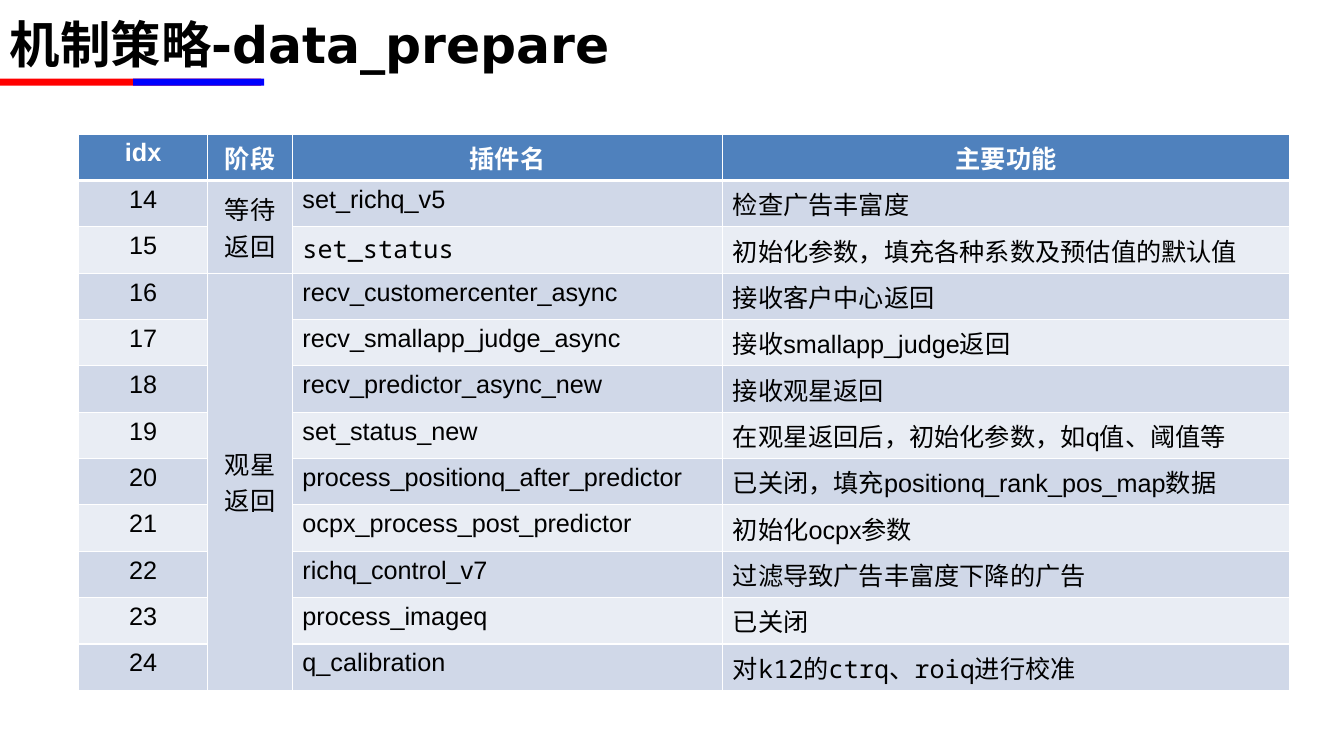
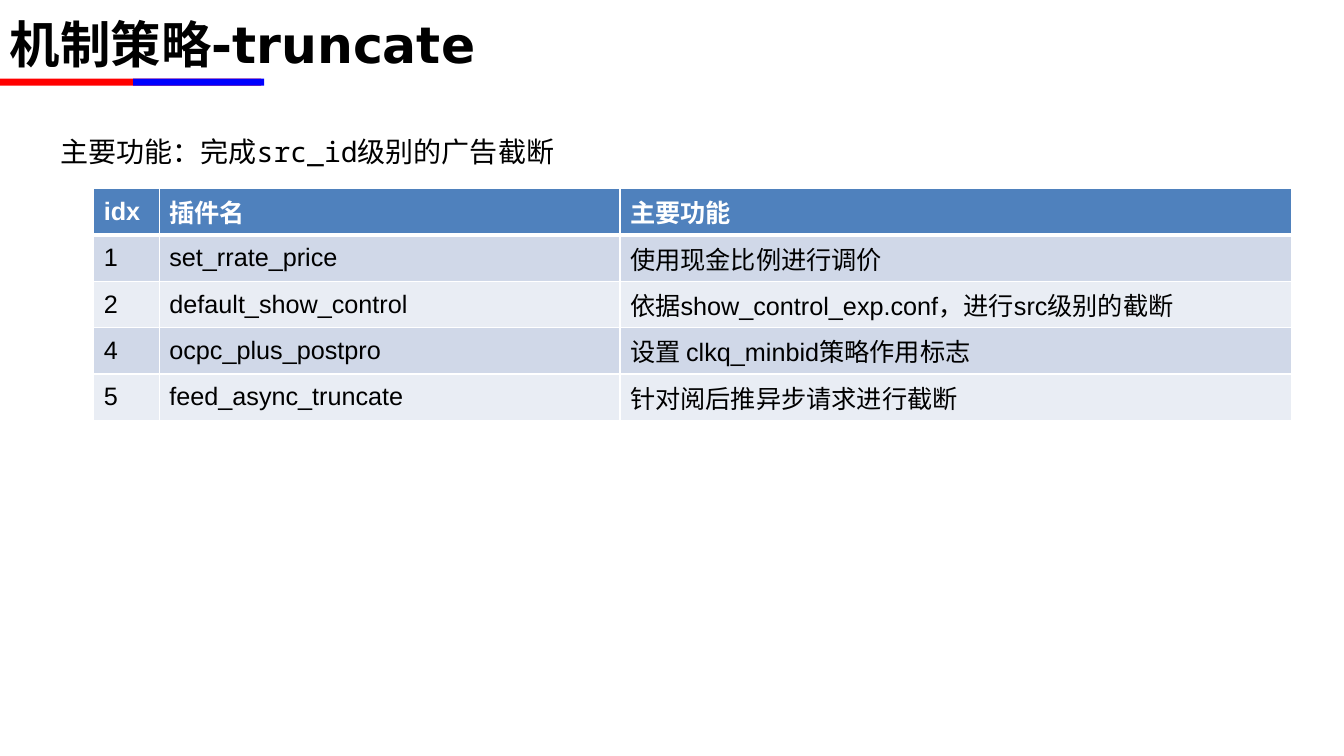
from lxml import etree
from pptx import Presentation
from pptx import util as u
from pptx.dml.color import RGBColor
from pptx.enum import shapes, text
from pptx.oxml import ns

HUES = {"red": "FF0000", "blue": "0000FF", "head": "4F81BD", "odd": "D0D8E8",
        "even": "E9EDF4", "white": "FFFFFF", "black": "000000"}
SANS, MONO, BOLD = "Arial", "Noto Sans Mono", "DejaVu Sans"
ROW = 0.46  # row height
MID, TOP = text.MSO_ANCHOR.MIDDLE, text.MSO_ANCHOR.TOP
MONOS = {"set_status", "对k12的ctrq、roiq进行校准"}

# Content: an empty stage continues the one above
PREP = [
    ("idx", "阶段", "插件名", "主要功能"),
    ("14", "等待返回", "set_richq_v5", "检查广告丰富度"),
    ("15", "", "set_status", "初始化参数，填充各种系数及预估值的默认值"),
    ("16", "观星返回", "recv_customercenter_async", "接收客户中心返回"),
    ("17", "", "recv_smallapp_judge_async", "接收smallapp_judge返回"),
    ("18", "", "recv_predictor_async_new", "接收观星返回"),
    ("19", "", "set_status_new", "在观星返回后，初始化参数，如q值、阈值等"),
    ("20", "", "process_positionq_after_predictor",
     "已关闭，填充positionq_rank_pos_map数据"),
    ("21", "", "ocpx_process_post_predictor", "初始化ocpx参数"),
    ("22", "", "richq_control_v7", "过滤导致广告丰富度下降的广告"),
    ("23", "", "process_imageq", "已关闭"),
    ("24", "", "q_calibration", "对k12的ctrq、roiq进行校准"),
]
TRUNC = [
    ("idx", "插件名", "主要功能"),
    ("1", "set_rrate_price", "使用现金比例进行调价"),
    ("2", "default_show_control", "依据show_control_exp.conf，进行src级别的截断"),
    ("4", "ocpc_plus_postpro", "设置 clkq_minbid策略作用标志"),
    ("5", "feed_async_truncate", "针对阅后推异步请求进行截断"),
]
SLIDES = [
    {"title": "机制策略-data_prepare", "rows": PREP, "at": (0.78, 1.33),
     "cols": (1.28, 0.84, 4.27, 5.62), "stage": 1, "mid": (0, 1)},
    {"title": "机制策略-truncate", "rows": TRUNC, "at": (0.93, 1.87),
     "cols": (0.65, 4.57, 6.66), "stage": None, "mid": (),
     "lead": [("主要功能：", SANS), ("完成src_id级别的广告截断", MONO)]},
]


def style(run, size, face, hue="black", bold=False):
    font = run.font
    font.size, font.name, font.bold = u.Pt(size), face, bold
    font.color.rgb = RGBColor.from_string(HUES[hue])


def box(slide, at, parts, size, bold=False, anchor=TOP):
    frame = slide.shapes.add_textbox(*map(u.Inches, at)).text_frame
    frame.word_wrap, frame.vertical_anchor = True, anchor
    for words, face in parts:
        run = frame.paragraphs[0].add_run()
        run.text = words
        style(run, size, face, bold=bold)
    return frame.paragraphs[0]


def edges(cell, row):
    """White cell borders, with a thick rule under the header."""
    wide = {"lnT": 3 if row == 1 else 1, "lnB": 3 if row == 0 else 1}
    props = cell._tc.get_or_add_tcPr()
    for spot, tag in enumerate(("lnL", "lnR", "lnT", "lnB")):
        line = etree.Element(ns.qn("a:" + tag), w=str(u.Pt(wide.get(tag, 1))))
        fill = etree.SubElement(line, ns.qn("a:solidFill"))
        etree.SubElement(fill, ns.qn("a:srgbClr"), val=HUES["white"])
        props.insert(spot, line)


def frame(slide, title):
    """Title and two-colour band shared by the slides."""
    for left, width, hue in ((0, 2.59, "red"), (1.32, 1.3, "blue")):
        bar = slide.shapes.add_shape(shapes.MSO_SHAPE.RECTANGLE,
                                     *map(u.Inches, (left, 0.78, width, 0.07)))
        bar.shadow.inherit = False
        bar.fill.solid()
        bar.fill.fore_color.rgb = RGBColor.from_string(HUES[hue])
        bar.line.fill.background()
    box(slide, (0, 0, 12, 0.85), [(title, BOLD)], 36, True, MID)


def grid(slide, page):
    rows, cols, stage = page["rows"], page["cols"], page["stage"]
    size = (sum(cols), ROW * len(rows))
    table = slide.shapes.add_table(len(rows), len(cols),
                                   *map(u.Inches, page["at"] + size)).table
    for col, width in zip(table.columns, cols):
        col.width = u.Inches(width)
    for r, row in enumerate(rows):
        table.rows[r].height = u.Inches(ROW)
        hue = "head" if r == 0 else "odd" if r % 2 else "even"
        for c, words in enumerate(row):
            cell = table.cell(r, c)
            cell.fill.solid()
            cell.fill.fore_color.rgb = RGBColor.from_string(HUES[hue])
            edges(cell, r)
            solo = stage is None or (c == stage and r > 0)
            cell.vertical_anchor = MID if solo else TOP
            if not words:
                continue
            cell.text_frame.text = words
            para = cell.text_frame.paragraphs[0]
            if c in page["mid"] or (r == 0 and page["mid"]):
                para.alignment = text.PP_ALIGN.CENTER
            style(para.runs[0], 18, MONO if words in MONOS else SANS,
                  "white" if r == 0 else "black", r == 0)
    # Join each stage with the rows it covers
    if stage is not None:
        heads = [r for r, row in enumerate(rows) if row[stage]][1:]
        for top, end in zip(heads, heads[1:] + [len(rows)]):
            table.cell(top, stage).merge(table.cell(end - 1, stage))


def main():
    deck = Presentation()
    deck.slide_width, deck.slide_height = u.Inches(13.33), u.Inches(7.5)
    for page in SLIDES:
        slide = deck.slides.add_slide(deck.slide_layouts[6])
        frame(slide, page["title"])
        if "lead" in page:
            box(slide, (0.5, 1.12, 12.83, 0.7), page["lead"], 20).line_spacing = 1.5
        grid(slide, page)
    deck.save("out.pptx")


if __name__ == "__main__":
    main()
